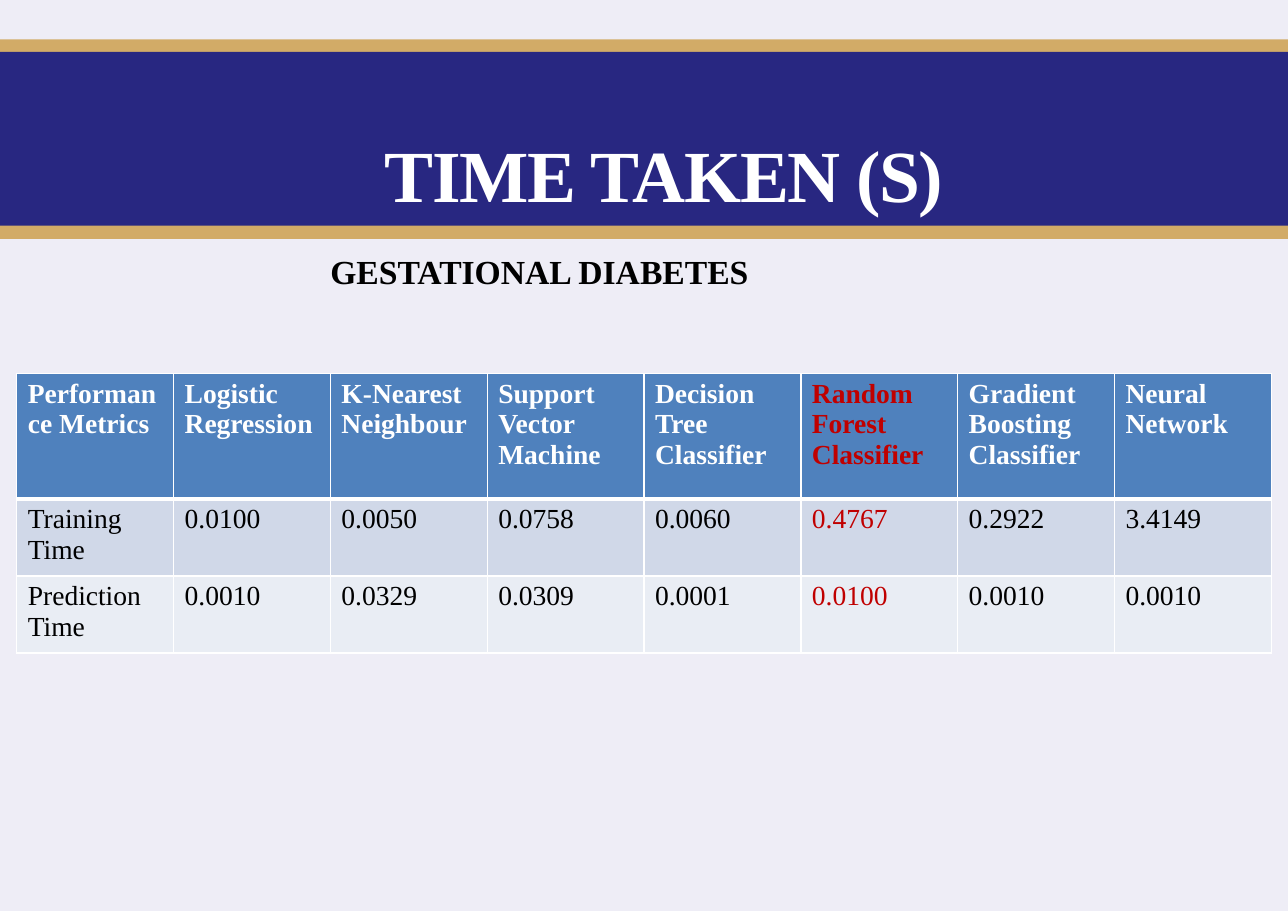
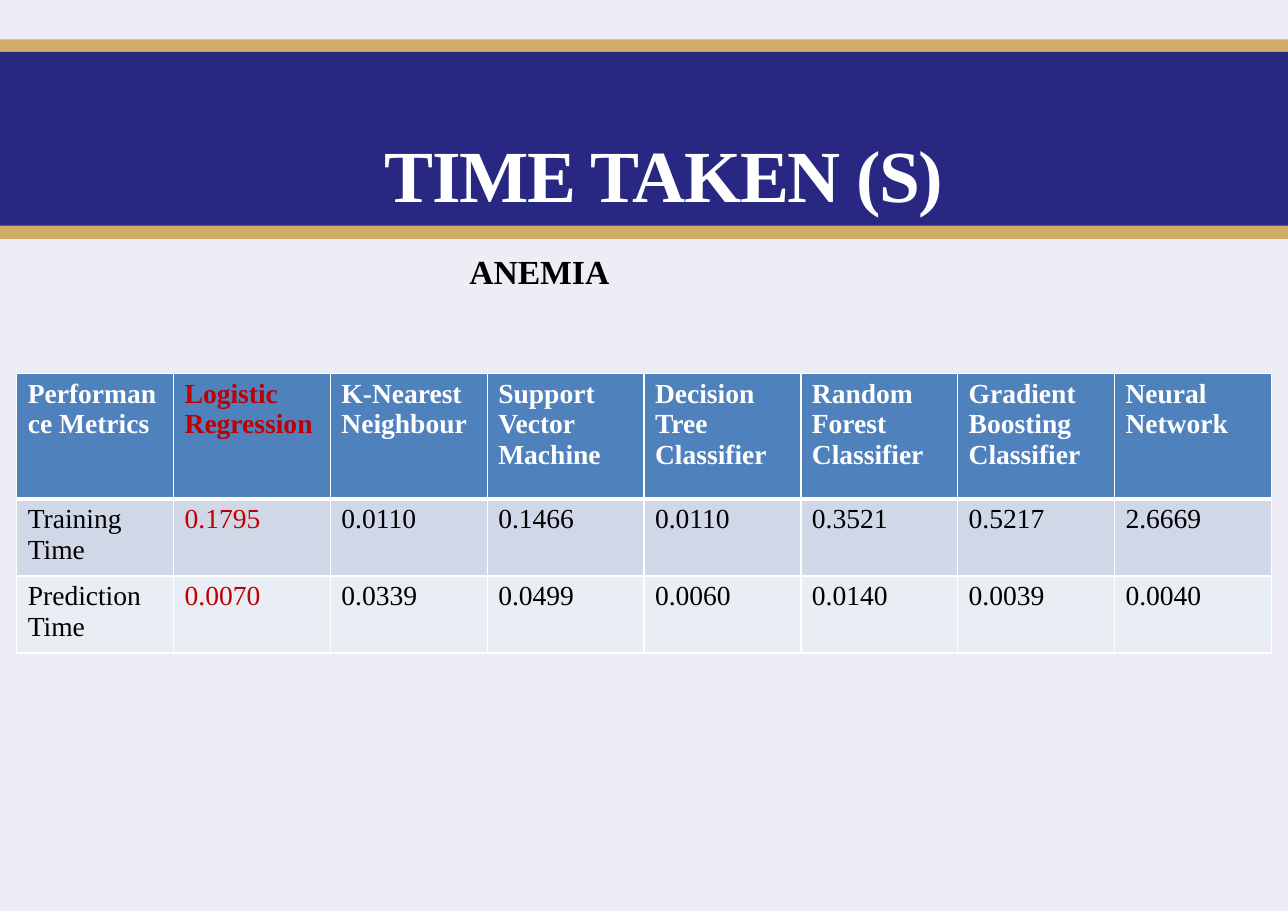
from lxml import etree
from pptx import Presentation
from pptx.dml.color import RGBColor
from pptx.enum import shapes, text
from pptx.oxml.ns import qn
from pptx.util import Pt

WIDTH, HEIGHT = 841.68, 595.44
FONT = "Times New Roman"
BACKGROUND, NAVY, GOLD = "EEEDF6", "282781", "D2AB67"
WHITE, BLACK, RED = "FFFFFF", "000000", "C00000"
ROW_FILLS = ["4F81BD", "D0D8E8", "E9EDF4"]
ROW_HEIGHTS = [82, 50, 50]
COLUMN_WIDTH = 102.5

HEADERS = [
    "Performance Metrics", "Logistic Regression", "K-Nearest Neighbour",
    "Support Vector Machine", "Decision Tree Classifier",
    "Random Forest Classifier", "Gradient Boosting Classifier", "Neural Network",
]
# Disease, highlighted model, training times, prediction times
RESULTS = [
    ("GESTATIONAL DIABETES", "Random Forest Classifier",
     ["0.0100", "0.0050", "0.0758", "0.0060", "0.4767", "0.2922", "3.4149"],
     ["0.0010", "0.0329", "0.0309", "0.0001", "0.0100", "0.0010", "0.0010"]),
    ("ANEMIA", "Logistic Regression",
     ["0.1795", "0.0110", "0.1466", "0.0110", "0.3521", "0.5217", "2.6669"],
     ["0.0070", "0.0339", "0.0499", "0.0060", "0.0140", "0.0039", "0.0040"]),
]


def set_fill(fill, color):
    fill.solid()
    fill.fore_color.rgb = RGBColor.from_string(color)


def add_run(paragraph, words, size, color, bold):
    run = paragraph.add_run()
    run.text = words
    run.font.name, run.font.size, run.font.bold = FONT, Pt(size), bold
    set_fill(run.font.fill, color)
    return run


presentation = Presentation()
presentation.slide_width, presentation.slide_height = Pt(WIDTH), Pt(HEIGHT)
layout = presentation.slide_layouts.get_by_name("Title Only")
set_fill(layout.background.fill, BACKGROUND)
slides = [presentation.slides.add_slide(layout) for result in RESULTS]

# The title bands move to the layout, behind its placeholders
for index, (top, bottom, color) in enumerate([(25.7, 156.2, GOLD), (34, 147.6, NAVY)]):
    band = slides[0].shapes.add_shape(
        shapes.MSO_SHAPE.RECTANGLE, 0, Pt(top), Pt(WIDTH), Pt(bottom - top))
    band.shadow.inherit = False
    set_fill(band.fill, color)
    band.line.fill.background()
    layout.shapes._spTree.insert(2 + index, band._element)

for slide, (disease, best_model, training, prediction) in zip(slides, RESULTS):
    title = slide.shapes.title
    title.left, title.top, title.width, title.height = 0, Pt(82), Pt(868), Pt(60)
    frame = title.text_frame
    frame.auto_size = text.MSO_AUTO_SIZE.NONE
    frame.vertical_anchor = text.MSO_ANCHOR.BOTTOM
    frame.margin_left = frame.margin_top = frame.margin_right = frame.margin_bottom = 0
    frame.paragraphs[0].alignment = text.PP_ALIGN.CENTER
    run = add_run(frame.paragraphs[0], "TIME TAKEN (S)", 48, WHITE, True)
    run._r.get_or_add_rPr().set("spc", "-90")

    subtitle = slide.shapes.add_textbox(Pt(77), Pt(160.6), Pt(551), Pt(34))
    subtitle.text_frame.word_wrap = True
    paragraph = subtitle.text_frame.paragraphs[0]
    paragraph.alignment = text.PP_ALIGN.CENTER
    add_run(paragraph, disease, 22, BLACK, True)

    rows = [HEADERS, ["Training Time", *training], ["Prediction Time", *prediction]]
    table = slide.shapes.add_table(
        len(rows), len(HEADERS), Pt(11), Pt(244),
        Pt(COLUMN_WIDTH * len(HEADERS)), Pt(sum(ROW_HEIGHTS))).table
    for column in table.columns:
        column.width = Pt(COLUMN_WIDTH)
    for row_index, values in enumerate(rows):
        table.rows[row_index].height = Pt(ROW_HEIGHTS[row_index])
        is_header = row_index == 0
        borders = {"a:lnL": 1, "a:lnR": 1,
                   "a:lnT": 3 if row_index == 1 else 1,
                   "a:lnB": 3 if is_header else 1}
        for column_index, value in enumerate(values):
            cell = table.cell(row_index, column_index)
            properties = cell._tc.get_or_add_tcPr()
            for tag, width in borders.items():
                line = etree.SubElement(properties, qn(tag), w=str(Pt(width)))
                solid = etree.SubElement(line, qn("a:solidFill"))
                etree.SubElement(solid, qn("a:srgbClr"), val=WHITE)
            set_fill(cell.fill, ROW_FILLS[row_index])
            color = WHITE if is_header else BLACK
            if HEADERS[column_index] == best_model:
                color = RED
            add_run(cell.text_frame.paragraphs[0], value, 18, color, is_header)

presentation.save("out.pptx")
